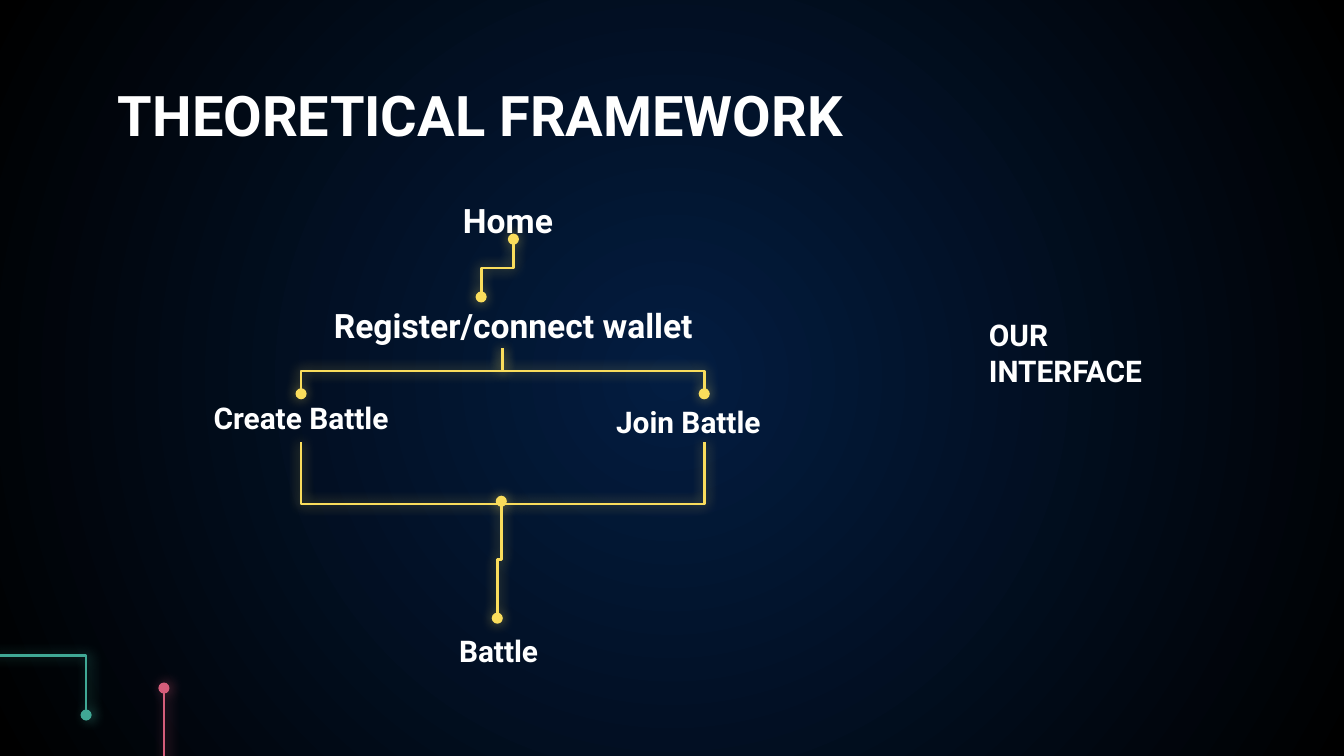
from lxml import etree
from pptx import Presentation
from pptx.dml.color import RGBColor
from pptx.enum.shapes import MSO_CONNECTOR
from pptx.enum.text import MSO_ANCHOR, PP_ALIGN
from pptx.oxml.ns import qn
from pptx.util import Inches, Pt

STRAIGHT, ELBOW = MSO_CONNECTOR.STRAIGHT, MSO_CONNECTOR.ELBOW
MIDDLE = MSO_ANCHOR.MIDDLE
LEFT, CENTER = PP_ALIGN.LEFT, PP_ALIGN.CENTER

NAVY = RGBColor(0x03, 0x1D, 0x41)
BLACK = RGBColor(0x00, 0x00, 0x00)
WHITE = RGBColor(0xFF, 0xFF, 0xFF)
YELLOW = RGBColor(0xFA, 0xDD, 0x5C)
PINK = RGBColor(0xD5, 0x5D, 0x7A)
TEAL = RGBColor(0x40, 0xA8, 0x95)

FONT = "Roboto"
SLIDE_WIDTH = Inches(10)
SLIDE_HEIGHT = SLIDE_WIDTH * 9 // 16
LABEL_HEIGHT = 0.36
LEFT_X, FORK_X, RIGHT_X = 2.24, 3.74, 5.24
FORK_TOP, FORK_BOTTOM = 2.59, 2.93
MERGE_TOP, MERGE_X, MERGE_Y = 3.29, 3.87, 3.75


def set_background(slide):
    """Fill the slide with a gradient that darkens from its centre."""
    fill = slide.background.fill
    fill.gradient()
    for stop, color in zip(fill.gradient_stops, (NAVY, BLACK)):
        stop.color.rgb = color
    grad = slide.background._cSld.find(".//" + qn("a:gradFill"))
    lin = grad.find(qn("a:lin"))
    path = etree.Element(qn("a:path"), path="circle")
    etree.SubElement(path, qn("a:fillToRect"),
                     {side: "50000" for side in "ltrb"})
    grad.replace(lin, path)


def add_text(slide, text, x, y, w, h=LABEL_HEIGHT, size=16, align=CENTER):
    tf = slide.shapes.add_textbox(
        Inches(x), Inches(y), Inches(w), Inches(h)).text_frame
    tf.word_wrap = True
    tf.vertical_anchor = MIDDLE
    tf.margin_left = tf.margin_right = Inches(0.1)
    tf.margin_top = tf.margin_bottom = Inches(0.1)
    for i, line in enumerate(text.split("\n")):
        p = tf.paragraphs[0] if i == 0 else tf.add_paragraph()
        p.alignment = align
        r = p.add_run()
        r.text = line
        r.font.name = FONT
        r.font.size = Pt(size)
        r.font.bold = True
        r.font.color.rgb = WHITE


def style_line(line, color, head, tail, shift):
    """Colour a connector, add round ends and a glow moved right by shift."""
    line.line.color.rgb = color
    line.line.width = Pt(1.5)
    ln = line.line._get_or_add_ln()
    for tag, shown in (("a:headEnd", head), ("a:tailEnd", tail)):
        if shown:
            etree.SubElement(ln, qn(tag), type="oval")
    effects = etree.SubElement(line._element.spPr, qn("a:effectLst"))
    glow = etree.SubElement(
        effects, qn("a:outerShdw"), blurRad=str(Pt(6.75)),
        dist=str(Pt(shift)), dir="0", algn="bl", rotWithShape="0")
    clr = etree.SubElement(glow, qn("a:srgbClr"), val=str(color))
    etree.SubElement(clr, qn("a:alpha"), val="50000")


def add_straight(slide, x1, y1, x2, y2, color, head=True, tail=True, shift=0):
    line = slide.shapes.add_connector(
        STRAIGHT, Inches(x1), Inches(y1), Inches(x2), Inches(y2))
    style_line(line, color, head, tail, shift)


def add_elbow(slide, x1, y1, x2, y2, color=YELLOW, head=False, tail=False,
              shift=0, bends=2):
    """Draw a bent connector that leaves its start downwards.

    The preset runs sideways, so its box is turned about its centre.
    """
    w, h = y2 - y1, abs(x2 - x1)
    left, top = (x1 + x2 - w) / 2, (y1 + y2 - h) / 2
    line = slide.shapes.add_connector(
        ELBOW, Inches(left), Inches(top), Inches(left + w), Inches(top + h))
    sp = line._element.spPr
    xfrm = sp.find(qn("a:xfrm"))
    if x2 < x1:
        xfrm.set("rot", str(90 * 60000))
    else:
        xfrm.set("rot", str(270 * 60000))
        xfrm.set("flipH", "1")
    sp.find(qn("a:prstGeom")).set("prst", f"bentConnector{bends + 1}")
    style_line(line, color, head, tail, shift)


def add_corner_decoration(slide):
    add_straight(slide, 1.22, 6.16, 1.22, 5.12, PINK, shift=1.5)
    add_elbow(slide, -0.25, 4.43, 0.64, 5.32, TEAL, head=True, tail=True,
              shift=1.5)


def add_flow_lines(slide):
    for x in (LEFT_X, RIGHT_X):
        add_elbow(slide, FORK_X, FORK_TOP, x, FORK_BOTTOM, tail=True)
        add_elbow(slide, x, MERGE_TOP, MERGE_X, MERGE_Y, bends=1)
    add_elbow(slide, 3.73, 3.73, 3.7, 4.6, head=True, tail=True)
    add_elbow(slide, 3.82, 1.78, 3.58, 2.21, head=True, tail=True)


def main():
    prs = Presentation()
    prs.slide_width, prs.slide_height = SLIDE_WIDTH, SLIDE_HEIGHT
    slide = prs.slides.add_slide(prs.slide_layouts[6])
    set_background(slide)
    add_corner_decoration(slide)
    add_text(slide, "THEORETICAL FRAMEWORK", 0.78, 0.59, 8.44, 0.52,
             size=30, align=LEFT)
    add_text(slide, "Home", 0.78, 1.46, 6, size=18)
    add_text(slide, "Create Battle", 0.74, 2.93, 3)
    add_text(slide, "Join Battle ", 3.65, 2.96, 3)
    add_text(slide, "Battle", 2.21, 4.66, 3)
    add_text(slide, "OUR\nINTERFACE", 7.26, 2.34, 1.96, 0.57, align=LEFT)
    add_flow_lines(slide)
    add_text(slide, "Register/connect wallet", 0.82, 2.24, 6, size=18)
    prs.save("out.pptx")


if __name__ == "__main__":
    main()
